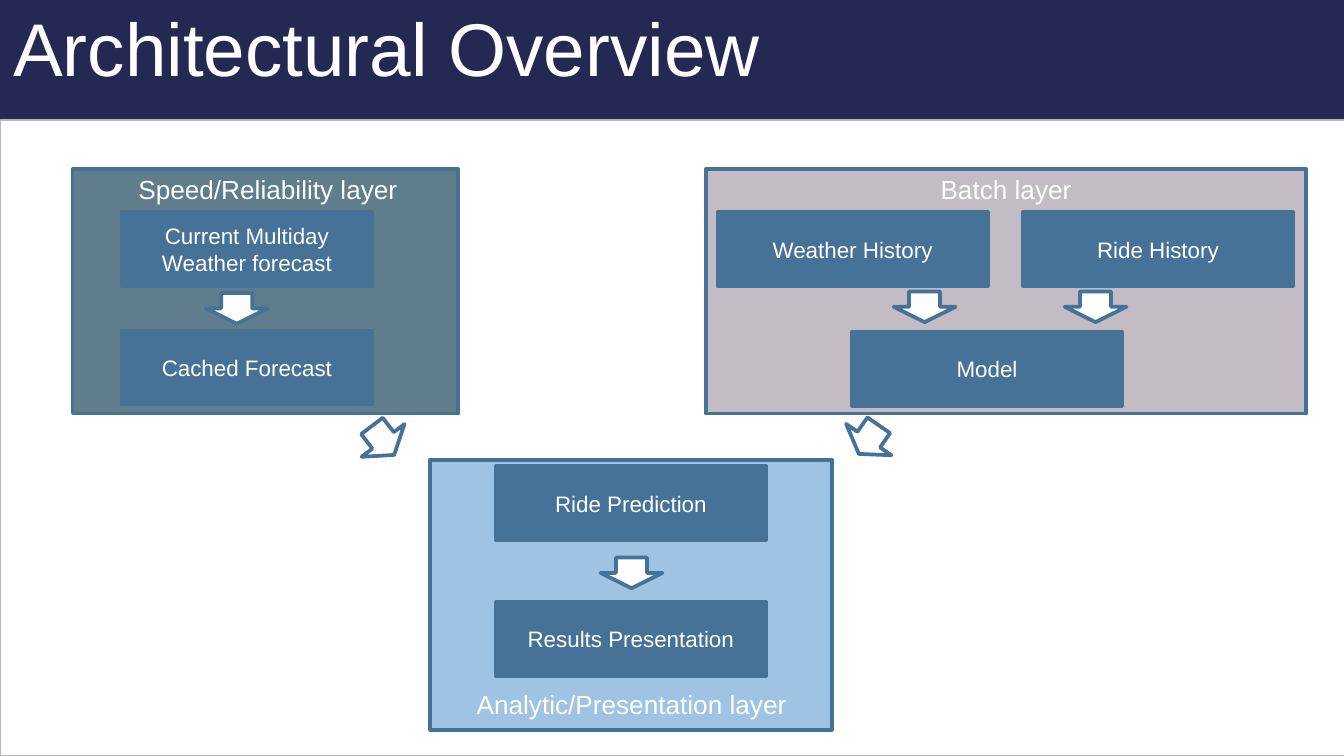
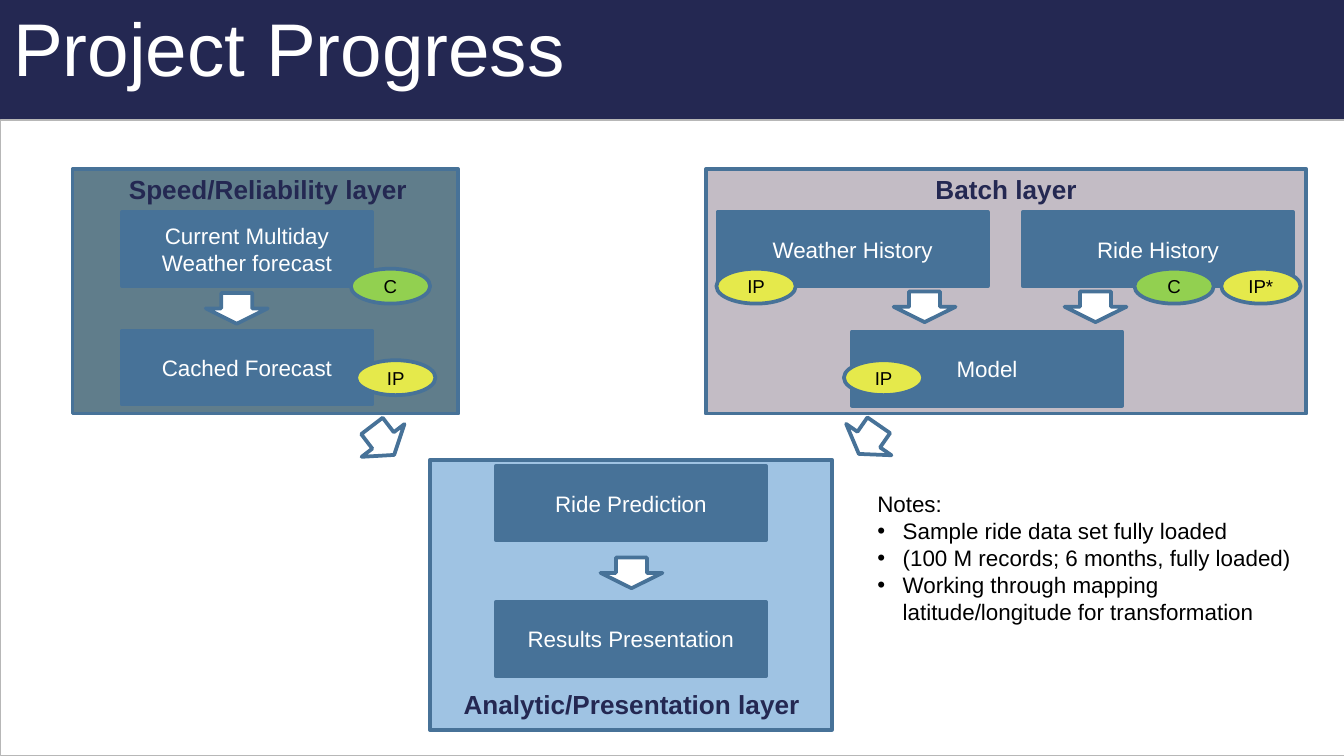
from copy import deepcopy
from lxml.etree import SubElement
from pptx import Presentation
from pptx.dml.color import RGBColor
from pptx.enum.shapes import MSO_SHAPE
from pptx.enum.text import MSO_ANCHOR, MSO_AUTO_SIZE, PP_ALIGN
from pptx.oxml.ns import qn
from pptx.util import Cm, Pt

W, H = 25.4, 14.29
NAVY, BLUE, WHITE, BLACK, GREY = "242852", "477298", "FFFFFF", "000000", "B7B7B7"
BACKDROP = [(0, GREY), (0.5, "C2D8F5"), (1, "E1EBF9")]
STATUS = {"C": "92D050", "IP": "E5E94B", "IP*": "E5E94B"}

TITLE = {"size": 40, "color": WHITE}
BOX = {"size": 12, "color": WHITE}
BADGE = {"size": 10, "color": BLACK}
NOTE = {"size": 12, "color": BLACK}

BAND = (0, 0, W, 2.69)
PANEL = (0.01, 2.27, W, 12.01)
TITLE_AT = (0, 0.08, 20.96, 1.9)
NOTES_AT = (16.33, 9.14, 8.61, 2.11)
BOX_H, NARROW, WIDE = 1.4, 4.72, 5.11
LABEL_H, LABEL_Y = 0.64, 3.15
ARROW = (1.17, 0.58)
BADGE_SIZE = (1.5, 0.66)
BADGE_TOP, BADGE_LOW = 5.08, 6.81

LAYERS = [
    ("Analytic/Presentation layer", "9FC3E3", (8.13, 8.69, 7.59, 5.11), (8.23, 12.88, 7.42)),
    ("Speed/Reliability layer", "607D8B", (1.37, 3.2, 7.29, 4.62), (1.47, LABEL_Y, 7.19)),
    ("Batch layer", "C3BCC5", (13.34, 3.2, 11.35, 4.62), (13.34, LABEL_Y, 11.35)),
]
BOXES = [
    ("Current Multiday\nWeather forecast", 2.31, 4.01, NARROW),
    ("Cached Forecast", 2.31, 6.25, NARROW),
    ("Weather History", 13.56, 4.01, WIDE),
    ("Ride History", 19.33, 4.01, WIDE),
    ("Model", 16.1, 6.27, WIDE),
    ("Ride Prediction", 9.37, 8.81, WIDE),
    ("Results Presentation", 9.37, 11.38, WIDE),
]
ARROWS = [
    ((20.12, 5.51, *ARROW), 0),
    ((16.89, 5.51, *ARROW), 0),
    ((3.89, 5.54, *ARROW), 0),
    ((11.35, 10.54, *ARROW), 0),
    ((6.73, 7.98, 1.02, 0.69), 322.6),
    ((15.9, 7.98, 1.04, 0.66), 34.7),
]
SLIDES = [
    {"title": "Architectural Overview", "layout": 5,
     "label": {"size": 14, "color": WHITE}, "badges": [], "notes": []},
    {"title": "Project Progress", "layout": 1,
     "label": {"size": 14, "color": NAVY, "bold": True},
     "badges": [("IP", 13.54, BADGE_TOP), ("IP*", 23.08, BADGE_TOP), ("IP", 6.73, BADGE_LOW),
                ("C", 6.63, BADGE_TOP), ("IP", 15.95, BADGE_LOW), ("C", 21.44, BADGE_TOP)],
     "notes": ["Notes:",
               "Sample ride data set fully loaded",
               "(100 M records; 6 months, fully loaded)",
               "Working through mapping latitude/longitude for transformation"]},
]


def rgb(color):
    return RGBColor.from_string(color)


def place(sp, at):
    for name, v in zip(("left", "top", "width", "height"), at):
        setattr(sp, name, Cm(v))


def write(sp, lines, fmt, align=PP_ALIGN.CENTER, anchor=MSO_ANCHOR.MIDDLE, inset=0.13):
    tf = sp.text_frame
    frame = {"word_wrap": True, "auto_size": MSO_AUTO_SIZE.NONE, "vertical_anchor": anchor,
             "margin_left": Cm(0.25), "margin_right": Cm(0.25),
             "margin_top": Cm(inset), "margin_bottom": Cm(inset)}
    for name, v in frame.items():
        setattr(tf, name, v)
    font = {"name": "Arial", "size": Pt(fmt["size"]), "bold": fmt.get("bold", False)}
    for i, line in enumerate(lines):
        p = tf.add_paragraph() if i else tf.paragraphs[0]
        p.alignment, p.space_before = align, Pt(0)
        r = p.add_run()
        r.text = line
        for name, v in font.items():
            setattr(r.font, name, v)
        r.font.color.rgb = rgb(fmt["color"])


def shape(s, kind, at, fill, line=BLUE, width=2, rot=0):
    sp = s.shapes.add_shape(kind, *map(Cm, at))
    sp.shadow.inherit = False
    sp.rotation = rot
    sp.fill.solid()
    sp.fill.fore_color.rgb = rgb(fill)
    if line:
        sp.line.color.rgb = rgb(line)
        sp.line.width = Pt(width)
    else:
        sp.line.fill.background()
    return sp


def style_master(prs, s):
    master = prs.slide_master
    fill = master.background.fill
    fill.gradient()
    fill.gradient_angle = 270
    stops = fill.gradient_stops[0]._gs.getparent()
    stops.insert(1, deepcopy(stops[0]))
    for stop, (pos, color) in zip(fill.gradient_stops, BACKDROP):
        stop.position = pos
        stop.color.rgb = rgb(color)
    band = shape(s, MSO_SHAPE.ROUND_2_SAME_RECTANGLE, BAND, NAVY, None, rot=180)
    master.shapes._spTree.insert(2, band._element)


def add_notes(sp, lines):
    place(sp, NOTES_AT)
    write(sp, lines, NOTE, PP_ALIGN.LEFT, MSO_ANCHOR.TOP)
    for i, p in enumerate(sp.text_frame.paragraphs):
        pPr = p._p.get_or_add_pPr()
        indent = Cm(0.48) if i else 0
        pPr.set("marL", str(indent))
        pPr.set("indent", str(-indent))
        if i:
            SubElement(pPr, qn("a:buChar")).set("char", "•")
        else:
            SubElement(pPr, qn("a:buNone"))


def add_diagram(s, label):
    for _, color, at, _ in LAYERS:
        shape(s, MSO_SHAPE.RECTANGLE, at, color)
    for at, rot in ARROWS:
        shape(s, MSO_SHAPE.DOWN_ARROW, at, WHITE, rot=rot)
    for name, _, _, at in LAYERS:
        tb = s.shapes.add_textbox(*map(Cm, (*at, LABEL_H)))
        write(tb, [name], label, anchor=MSO_ANCHOR.TOP)
    for text, x, y, w in BOXES:
        sp = shape(s, MSO_SHAPE.RECTANGLE, (x, y, w, BOX_H), BLUE)
        write(sp, text.split("\n"), BOX)


def add_slide(prs, content):
    s = prs.slides.add_slide(prs.slide_layouts[content["layout"]])
    panel = shape(s, MSO_SHAPE.RECTANGLE, PANEL, WHITE, GREY, 0.75)
    s.shapes._spTree.insert(2, panel._element)
    title = s.shapes.title
    place(title, TITLE_AT)
    write(title, [content["title"]], TITLE, PP_ALIGN.LEFT, MSO_ANCHOR.BOTTOM, 0.25)
    add_diagram(s, content["label"])
    if content["notes"]:
        add_notes(s.placeholders[1], content["notes"])
    for text, x, y in content["badges"]:
        sp = shape(s, MSO_SHAPE.OVAL, (x, y, *BADGE_SIZE), STATUS[text])
        write(sp, [text], BADGE)
    return s


def main():
    """Build the architecture and progress slides."""
    prs = Presentation()
    prs.slide_width, prs.slide_height = Cm(W), Cm(H)
    slides = [add_slide(prs, content) for content in SLIDES]
    style_master(prs, slides[0])
    prs.save("out.pptx")


if __name__ == "__main__":
    main()
